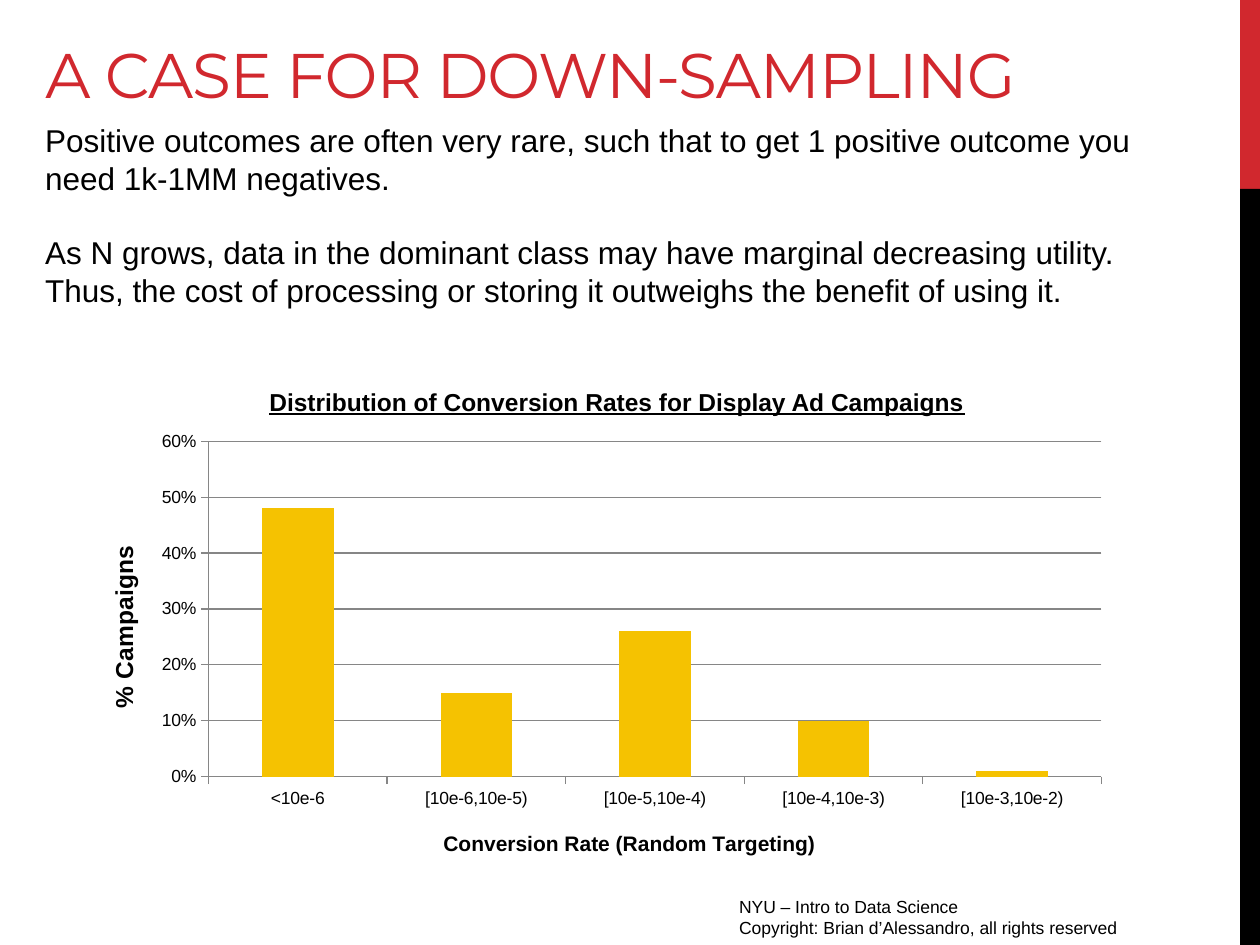
from lxml.etree import SubElement
from pptx import Presentation
from pptx.chart.data import CategoryChartData
from pptx.dml.color import RGBColor
from pptx.enum.chart import XL_CHART_TYPE, XL_TICK_MARK
from pptx.enum.shapes import MSO_SHAPE
from pptx.enum.text import MSO_ANCHOR, PP_ALIGN
from pptx.oxml.ns import qn
from pptx.util import Cm, Pt

COLORS = {"red": "D1282E", "black": "000000", "yellow": "F5C201", "gray": "868686"}
BODY_FONT = "Arial"


def color(name):
    return RGBColor.from_string(COLORS[name])


def set_font(font, size, name=BODY_FONT, color_name="black", bold=False, underline=False):
    font.size, font.name = Pt(size), name
    font.bold, font.underline = bold, underline
    font.color.rgb = color(color_name)


def add_text(slide, box, lines, size, gap=0, **style):
    frame = slide.shapes.add_textbox(*box).text_frame
    frame.word_wrap = True
    for index, line in enumerate(lines):
        paragraph = frame.paragraphs[0] if index == 0 else frame.add_paragraph()
        paragraph.text = line
        if index and gap:
            paragraph.space_before = Pt(gap)
        set_font(paragraph.font, size, **style)


def add_side_band(slide, left, top, width, height):
    red_height = height // 5
    parts = (("red", top, red_height), ("black", top + red_height, height - red_height))
    for color_name, part_top, part_height in parts:
        shape = slide.shapes.add_shape(MSO_SHAPE.RECTANGLE, left, part_top, width, part_height)
        shape.shadow.inherit = False
        shape.fill.solid()
        shape.fill.fore_color.rgb = color(color_name)
        shape.line.fill.background()


def format_title(slide, left, top, width, height):
    title = slide.shapes.title
    title.left, title.top, title.width, title.height = left, top, width, height
    frame = title.text_frame
    frame.text = "A CASE FOR DOWN-SAMPLING"
    frame.vertical_anchor = MSO_ANCHOR.BOTTOM
    paragraph = frame.paragraphs[0]
    paragraph.alignment = PP_ALIGN.LEFT
    set_font(paragraph.font, 36, "Montserrat", "red")
    paragraph.runs[0].font._element.set("spc", "-60")


def set_layout(element, position, **settings):
    """Place a chart part by fractions of the chart's size."""
    layout = element.find(qn("c:layout"))
    if layout is None:
        layout = SubElement(element, qn("c:layout"))
        element.insert(position, layout)
    for child in list(layout):
        layout.remove(child)
    manual = SubElement(layout, qn("c:manualLayout"))
    for name, value in settings.items():
        SubElement(manual, qn(f"c:{name}")).set("val", str(value))


def format_axis(axis, title, title_size, x, y):
    axis.major_tick_mark = XL_TICK_MARK.OUTSIDE
    axis.minor_tick_mark = XL_TICK_MARK.NONE
    axis.format.line.color.rgb = color("gray")
    set_font(axis.tick_labels.font, 10)
    paragraph = axis.axis_title.text_frame.paragraphs[0]
    paragraph.text = title
    set_font(paragraph.font, title_size, bold=True)
    set_layout(axis.axis_title._element, 1, xMode="edge", yMode="edge", x=x, y=y)


def add_conversion_chart(slide, left, top, width, height):
    data = CategoryChartData(number_format="0%")
    data.categories = ["<10e-6", "[10e-6,10e-5)", "[10e-5,10e-4)",
                       "[10e-4,10e-3)", "[10e-3,10e-2)"]
    data.add_series("Series 1", (0.48, 0.15, 0.26, 0.1, 0.01))
    chart = slide.shapes.add_chart(
        XL_CHART_TYPE.COLUMN_CLUSTERED, left, top, width, height, data).chart
    set_font(chart.font, 10)
    chart.has_title = chart.has_legend = False

    plot = chart.plots[0]
    plot.gap_width = 150
    plot.vary_by_categories = False
    fill = plot.series[0].format.fill
    fill.solid()
    fill.fore_color.rgb = color("yellow")

    format_axis(chart.category_axis, "Conversion Rate (Random Targeting)", 12, 0.35, 0.89)
    value_axis = chart.value_axis
    format_axis(value_axis, "% Campaigns", 14, 0.03, 0.26)
    value_axis.minimum_scale, value_axis.maximum_scale = 0, 0.6
    value_axis.major_unit = 0.1
    value_axis.tick_labels.number_format = "0%"
    value_axis.tick_labels.number_format_is_linked = False
    value_axis.has_major_gridlines = True
    value_axis.major_gridlines.format.line.color.rgb = color("gray")
    set_layout(chart._chartSpace.chart.plotArea, 0, layoutTarget="inner",
               xMode="edge", yMode="edge", x=0.13, y=0.04, w=0.85, h=0.74)


def main():
    presentation = Presentation()
    presentation.slide_width, presentation.slide_height = Cm(25.4), Cm(19.05)
    slide = presentation.slides.add_slide(presentation.slide_layouts[5])

    add_side_band(slide, Cm(25), 0, Cm(0.4), presentation.slide_height)
    add_text(slide, (Cm(14.65), Cm(17.93), Cm(9.53), Cm(0.8)),
             ["NYU – Intro to Data Science",
              "Copyright: Brian d’Alessandro, all rights reserved"], 10)
    format_title(slide, Cm(0.66), Cm(0.53), Cm(24), Cm(1.83))
    add_text(slide, (Cm(0.66), Cm(2.31), Cm(22.53), Cm(7.19)),
             ["Positive outcomes are often very rare, such that to get 1 positive "
              "outcome you need 1k-1MM negatives.",
              "As N grows, data in the dominant class may have marginal decreasing "
              "utility. Thus, the cost of processing or storing it outweighs the "
              "benefit of using it."], 18, gap=21)
    add_conversion_chart(slide, Cm(1.45), Cm(8.53), Cm(21.18), Cm(9.14))
    add_text(slide, (Cm(5.18), Cm(7.67), Cm(16.46), Cm(0.86)),
             ["Distribution of Conversion Rates for Display Ad Campaigns"], 14,
             bold=True, underline=True)
    presentation.save("out.pptx")


if __name__ == "__main__":
    main()
